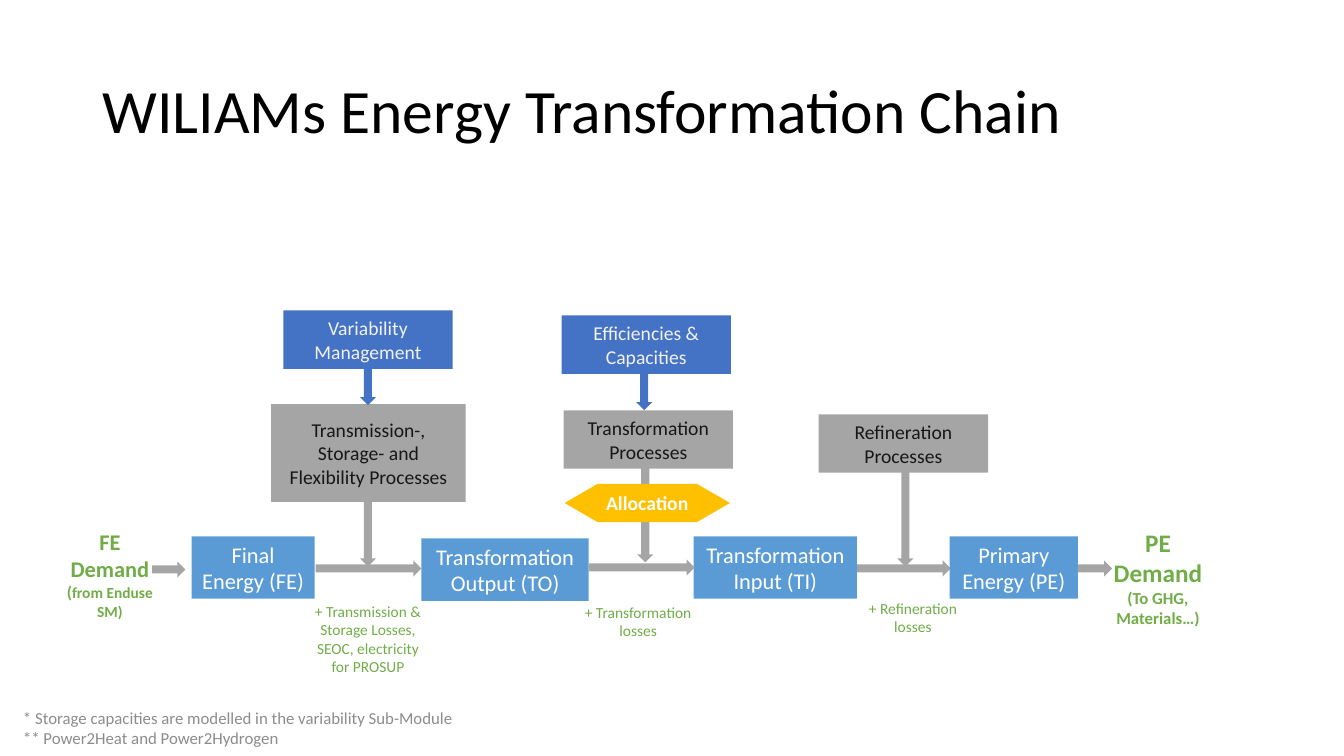
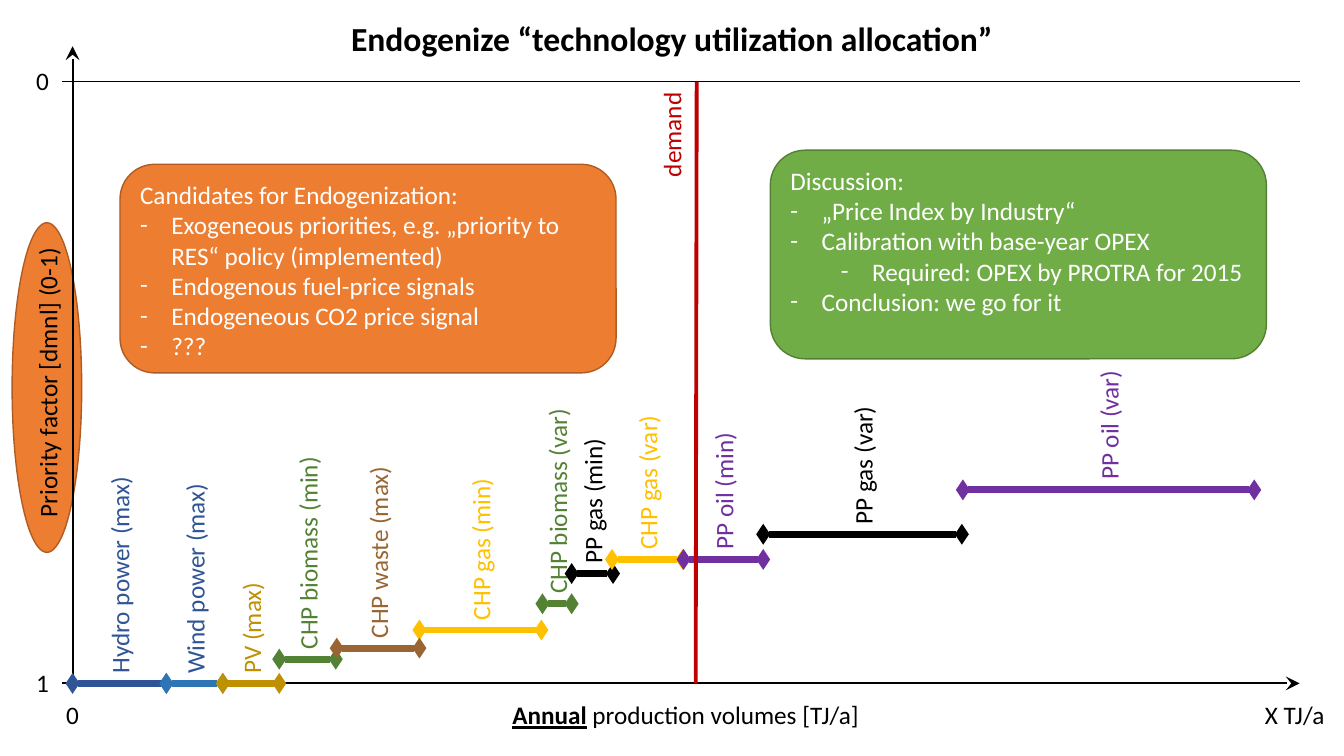
from pptx import Presentation
from pptx.dml.color import RGBColor
from pptx.enum.shapes import MSO_CONNECTOR, MSO_SHAPE
from pptx.enum.text import MSO_ANCHOR, PP_ALIGN
from pptx.oxml.ns import qn
from pptx.util import Inches, Pt
from lxml import etree

BLACK = RGBColor(0x00, 0x00, 0x00)
WHITE = RGBColor(0xFF, 0xFF, 0xFF)
INK = RGBColor(0x18, 0x17, 0x17)
PALE = RGBColor(0xF2, 0xF2, 0xF2)
NOTE_GRAY = RGBColor(0x8C, 0x8C, 0x8C)
GRAY = RGBColor(0xA5, 0xA5, 0xA5)
BLUE = RGBColor(0x44, 0x72, 0xC4)
SKY = RGBColor(0x5B, 0x9B, 0xD5)
GOLD = RGBColor(0xFF, 0xC0, 0x00)
GREEN = RGBColor(0x70, 0xAD, 0x47)
GREEN_EDGE = RGBColor(0x53, 0x80, 0x35)
ORANGE = RGBColor(0xED, 0x7D, 0x31)
ORANGE_EDGE = RGBColor(0xAF, 0x5C, 0x24)
NAVY = RGBColor(0x2F, 0x55, 0x97)
WIND_BLUE = RGBColor(0x2E, 0x75, 0xB6)
OCHRE = RGBColor(0xBF, 0x90, 0x00)
FOREST = RGBColor(0x54, 0x82, 0x35)
BROWN = RGBColor(0x99, 0x66, 0x33)
PURPLE = RGBColor(0x70, 0x30, 0xA0)
RED = RGBColor(0xC0, 0x00, 0x00)

LEFT, CENTER, RIGHT = PP_ALIGN.LEFT, PP_ALIGN.CENTER, PP_ALIGN.RIGHT
TOP, MIDDLE = MSO_ANCHOR.TOP, MSO_ANCHOR.MIDDLE
RECT, ROUNDED, OVAL = MSO_SHAPE.RECTANGLE, MSO_SHAPE.ROUNDED_RECTANGLE, MSO_SHAPE.OVAL
HEXAGON = MSO_SHAPE.FLOWCHART_PREPARATION
ARROW_RIGHT, ARROW_DOWN = MSO_SHAPE.RIGHT_ARROW, MSO_SHAPE.DOWN_ARROW
STRAIGHT = MSO_CONNECTOR.STRAIGHT

FONT = "Calibri"
ARROW_WIDTH = 0.16
DIAMOND = {"type": "diamond", "w": "med", "len": "sm"}
STEALTH = {"type": "stealth", "w": "lg", "len": "lg"}


class Slides:
    def __init__(self):
        self.deck = Presentation()
        self.deck.slide_width = Inches(13.33)
        self.deck.slide_height = Inches(7.5)
        self.page = None

    def new_page(self):
        self.page = self.deck.slides.add_slide(self.deck.slide_layouts[6])

    def span(self, para, text, size, color, bold=False, underline=False):
        span = para.add_run()
        span.text = text
        font = span.font
        font.name, font.size, font.bold, font.underline = FONT, Pt(size), bold, underline
        font.color.rgb = color

    def frame(self, box, anchor, side=0.1):
        frame = box.text_frame
        frame.word_wrap = True
        frame.vertical_anchor = anchor
        frame.margin_left = frame.margin_right = Inches(side)
        frame.margin_top = frame.margin_bottom = Inches(0.05)
        return frame

    def text(self, at, spans, align=LEFT, anchor=TOP, side=0.1):
        box = self.page.shapes.add_textbox(*map(Inches, at))
        para = self.frame(box, anchor, side).paragraphs[0]
        para.alignment = align
        for span in spans:
            self.span(para, *span)
        return box

    def upright(self, x, bottom, length, text, color, align=LEFT):
        at = (x - length / 2, bottom - length / 2 - 0.2, length, 0.4)
        self.text(at, [(text, 18, color)], align).rotation = 270

    def shape(self, kind, at, fill, edge=None):
        shape = self.page.shapes.add_shape(kind, *map(Inches, at))
        shape.shadow.inherit = False
        shape.fill.solid()
        shape.fill.fore_color.rgb = fill
        if edge is None:
            shape.line.fill.background()
        else:
            shape.line.color.rgb = edge
            shape.line.width = Pt(1)
        return shape

    def block(self, kind, at, fill, text, size, color, bold=False, side=0.1):
        para = self.frame(self.shape(kind, at, fill), MIDDLE, side).paragraphs[0]
        para.alignment = CENTER
        self.span(para, text, size, color, bold)

    def arrow_right(self, x, y, length):
        self.shape(ARROW_RIGHT, (x, y - ARROW_WIDTH / 2, length, ARROW_WIDTH), GRAY)

    def arrow_down(self, x, y, length, fill=GRAY):
        self.shape(ARROW_DOWN, (x - ARROW_WIDTH / 2, y, ARROW_WIDTH, length), fill)

    def line(self, start, end, color, width, head=None, tail=None):
        line = self.page.shapes.add_connector(STRAIGHT, *map(Inches, start + end))
        line.line.color.rgb = color
        line.line.width = Pt(width)
        outline = line.line._get_or_add_ln()
        for tag, style in (("a:headEnd", head), ("a:tailEnd", tail)):
            if style:
                etree.SubElement(outline, qn(tag), style)
        etree.SubElement(line._element.spPr, qn("a:effectLst"))

    def card(self, at, fill, edge, heading, points):
        frame = self.frame(self.shape(ROUNDED, at, fill, edge), TOP)
        para = frame.paragraphs[0]
        para.alignment = LEFT
        self.span(para, heading, 18, WHITE)
        for level, text in points:
            para = frame.add_paragraph()
            para.alignment = LEFT
            para.level = level
            props = para._p.get_or_add_pPr()
            props.set("marL", str(Inches(0.31 + 0.5 * level)))
            props.set("indent", str(Inches(-0.31)))
            etree.SubElement(props, qn("a:buFont")).set("typeface", FONT)
            etree.SubElement(props, qn("a:buChar")).set("char", "-")
            self.span(para, text, 18, WHITE)


def transformation_chain(slides):
    slides.new_page()
    title = slides.text((0.92, 0.4, 11.5, 1.45),
                        [("WILIAMs Energy Transformation Chain", 44, BLACK)], anchor=MIDDLE)
    title.text_frame.paragraphs[0].line_spacing = 0.9
    for row, note in enumerate(("* Storage capacities are modelled in the variability Sub-Module",
                                "** Power2Heat and Power2Hydrogen")):
        slides.text((0.13, 6.97 + 0.2 * row, 4.8, 0.3), [(note, 12, NOTE_GRAY)], anchor=MIDDLE)

    for x, y, length in ((8.98, 4.57, 1.05), (6.4, 4.53, 1.05), (3.65, 4.79, 0.83)):
        slides.arrow_down(x, y, length)
    for at, text in (
        ((5.59, 4.07, 1.68, 0.58), "Transformation Processes"),
        ((8.12, 4.11, 1.68, 0.58), "Refineration Processes"),
        ((2.69, 4.01, 1.93, 0.97), "Transmission-, Storage- and Flexibility Processes"),
    ):
        slides.block(RECT, at, GRAY, text, 14, INK)
    slides.block(HEXAGON, (5.6, 4.8, 1.64, 0.38), GOLD, "Allocation", 14, WHITE, True, side=0.02)
    for x, y, text, arrow_x in ((5.57, 3.13, "Efficiencies & Capacities", 6.39),
                                (2.81, 3.08, "Variability Management", 3.65)):
        slides.block(RECT, (x, y, 1.68, 0.58), BLUE, text, 14, PALE)
        slides.arrow_down(arrow_x, y + 0.58, 0.36, BLUE)

    slides.arrow_right(8.38, 5.64, 1.05)
    for x, y, width, text in (
        (1.9, 5.32, 1.22, "Final Energy (FE)"),
        (9.42, 5.32, 1.27, "Primary Energy (PE)"),
        (6.88, 5.32, 1.62, "Transformation Input (TI)"),
        (4.18, 5.34, 1.66, "Transformation Output (TO)"),
    ):
        slides.block(RECT, (x, y, width, 0.62), SKY, text, 16, WHITE)
    for x, y, length in ((3.13, 5.64, 1.05), (5.84, 5.63, 1.05), (10.69, 5.64, 0.34),
                         (1.51, 5.65, 0.33)):
        slides.arrow_right(x, y, length)

    slides.text((10.86, 5.18, 1.25, 1.11),
                [("PE Demand ", 18, GREEN, True), ("(To GHG, Materials…)", 12, GREEN, True)], CENTER)
    slides.text((0.6, 5.19, 0.98, 1.03),
                [("FE Demand ", 16, GREEN, True), ("(", 12, GREEN, True),
                 ("from Enduse SM)", 11, GREEN, True)], CENTER, side=0.04)
    for at, text in (
        ((8.47, 5.89, 1.17, 0.47), "+ Refineration losses"),
        ((5.73, 5.93, 1.2, 0.47), "+ Transformation losses"),
        ((3.01, 5.92, 1.28, 0.84), "+ Transmission & Storage Losses, SEOC, electricity for PROSUP"),
    ):
        slides.text(at, [(text, 11, GREEN)], CENTER, side=0.04)


def utilization_allocation(slides):
    slides.new_page()
    axis_x, axis_y, zero_y, axis_end = 0.72, 6.78, 0.81, 12.89
    slides.shape(OVAL, (0.12, 2.21, 0.69, 3.27), ORANGE, ORANGE_EDGE)
    slides.line((axis_x, 6.86), (axis_x, 0.46), BLACK, 1.5, tail=STEALTH)
    slides.line((0.62, axis_y), (axis_end, axis_y), BLACK, 1.5, tail=STEALTH)
    slides.line((0.62, zero_y), (axis_end, zero_y), BLACK, 0.5)
    for at, text, align in (
        ((0.26, 6.57, 0.42, 0.42), "1", LEFT),
        ((0.26, 0.6, 0.42, 0.42), "0", LEFT),
        ((0.51, 6.89, 0.42, 0.42), "0", CENTER),
        ((12.35, 6.89, 0.98, 0.4), "X TJ/a", CENTER),
    ):
        slides.text(at, [(text, 18, BLACK)], align)
    slides.upright(0.47, axis_y, 5.97, "Priority factor [dmnl] (0-1)", BLACK, CENTER)
    slides.text((axis_x, 6.89, 12.16, 0.4),
                [("Annual", 18, BLACK, True, True),
                 (" production volumes [TJ/a]", 18, BLACK)], CENTER)
    slides.text((0, 0.13, 13.33, 0.5),
                [("Endogenize “technology utilization allocation”", 24, BLACK, True)], CENTER)

    for start, end, y, length, text, color, label_color in (
        (0.72, 1.65, 6.78, 2.19, "Hydro power (max)", NAVY, NAVY),
        (1.65, 2.21, 6.78, 2.19, "Wind power (max)", WIND_BLUE, NAVY),
        (2.21, 2.77, 6.78, 1.23, "PV (max)", OCHRE, OCHRE),
        (2.77, 3.33, 6.54, 2.19, "CHP biomass (min)", FOREST, FOREST),
        (4.16, 5.37, 6.25, 1.9, "CHP gas (min)", GOLD, GOLD),
        (3.34, 4.16, 6.43, 2.07, "CHP waste (max)", BROWN, BROWN),
        (5.38, 5.67, 5.99, 2.71, "CHP biomass (var)", FOREST, FOREST),
        (5.67, 6.08, 5.69, 2.41, "PP gas (min)", BLACK, BLACK),
        (6.07, 6.77, 5.55, 2.27, "CHP gas (var)", GOLD, GOLD),
        (6.78, 7.57, 5.55, 2.27, "PP oil (min)", PURPLE, PURPLE),
        (7.57, 9.54, 5.3, 2.02, "PP gas (var)", BLACK, BLACK),
        (9.55, 12.44, 4.86, 1.58, "PP oil (var)", PURPLE, PURPLE),
    ):
        slides.line((start, y), (end, y), color, 5, DIAMOND, DIAMOND)
        slides.upright((start + end) / 2, y, length, text, label_color)

    slides.line((6.9, axis_y), (6.91, zero_y), RED, 2.75)
    slides.upright(6.66, 1.87, 1.05, "demand", RED, RIGHT)
    slides.card((1.19, 1.63, 4.92, 2.07), ORANGE, ORANGE_EDGE, "Candidates for Endogenization:", (
        (0, "Exogeneous priorities, e.g. „priority to RES“ policy (implemented)"),
        (0, "Endogenous fuel-price signals"),
        (0, "Endogeneous CO2 price signal"),
        (0, "???"),
    ))
    slides.card((7.64, 1.49, 4.92, 2.07), GREEN, GREEN_EDGE, "Discussion:", (
        (0, "„Price Index by Industry“"),
        (0, "Calibration with base-year OPEX"),
        (1, "Required: OPEX by PROTRA for 2015"),
        (0, "Conclusion: we go for it"),
    ))


def main():
    slides = Slides()
    transformation_chain(slides)
    utilization_allocation(slides)
    slides.deck.save("out.pptx")


if __name__ == "__main__":
    main()
